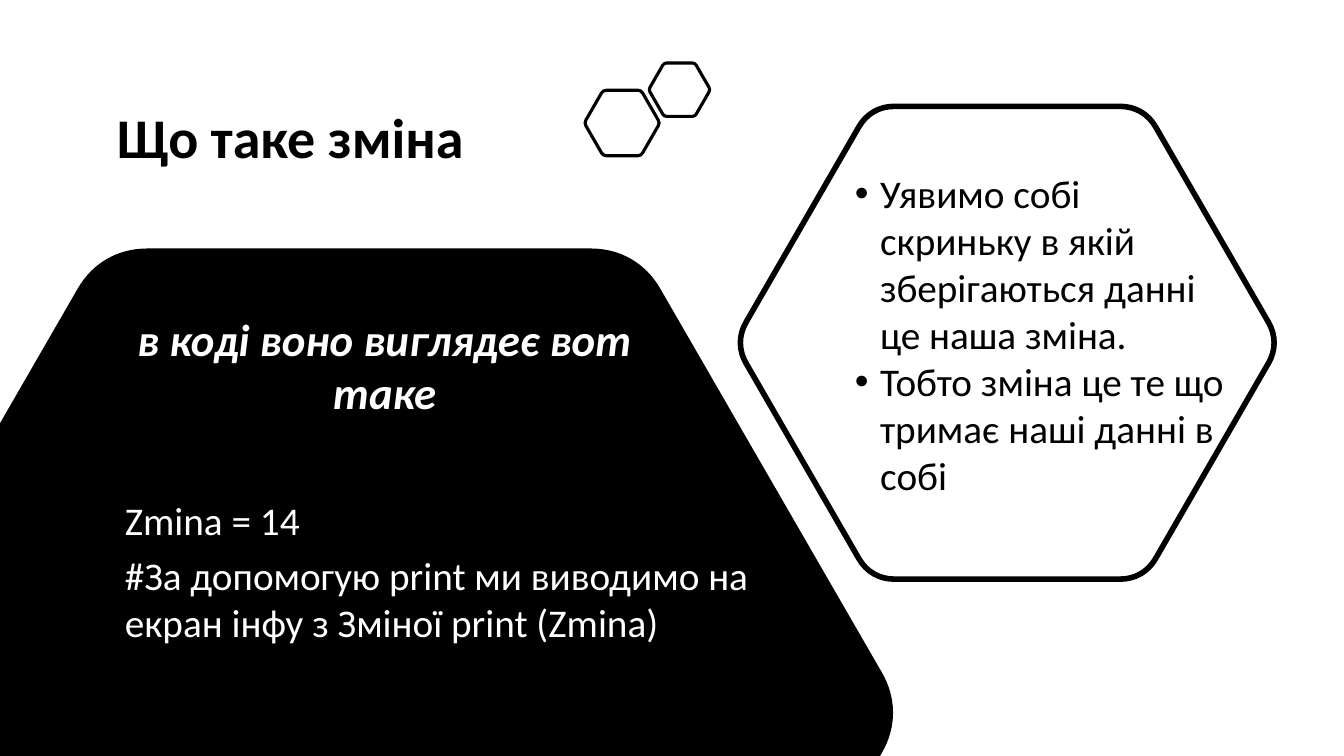
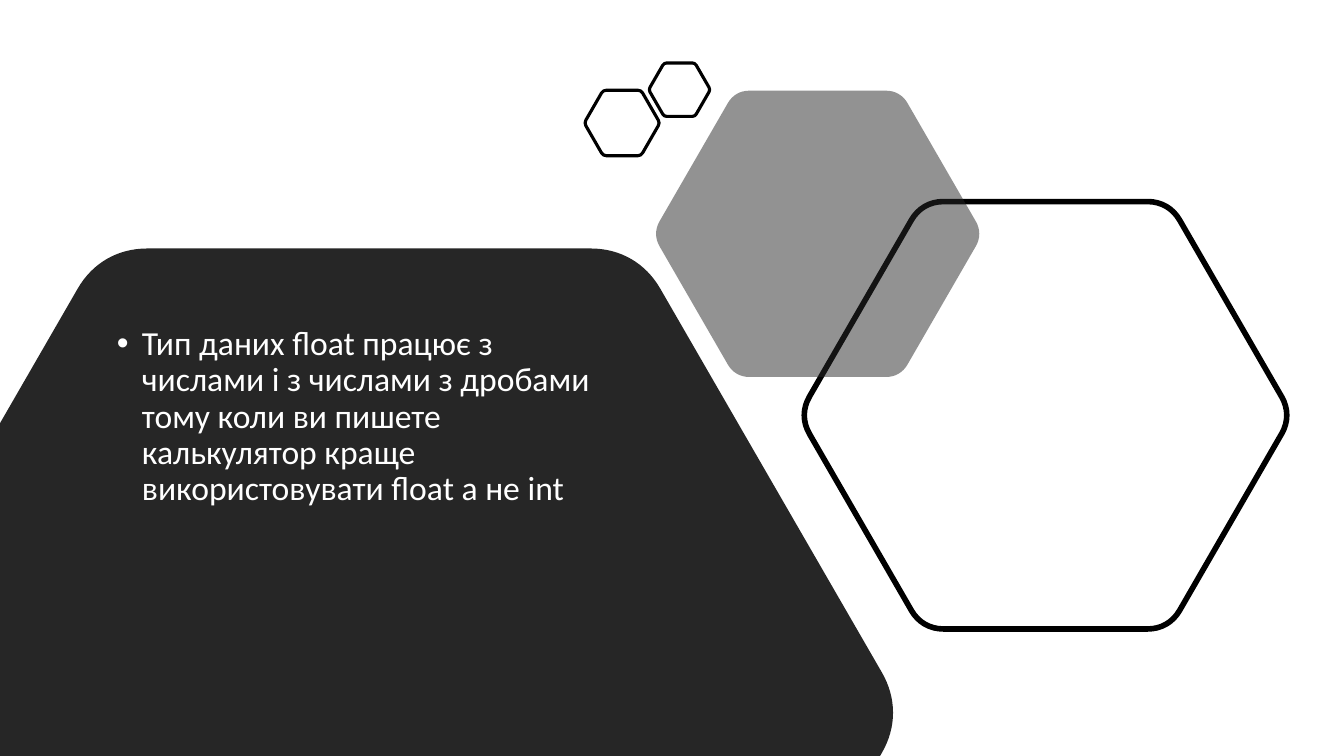
from math import cos, pi, sin, sqrt

from lxml import etree
from pptx import Presentation
from pptx.dml.color import RGBColor
from pptx.enum.text import MSO_ANCHOR, PP_ALIGN
from pptx.oxml.ns import qn
from pptx.util import Inches, Pt

BLACK = RGBColor(0x00, 0x00, 0x00)
CHARCOAL = RGBColor(0x26, 0x26, 0x26)
WHITE = RGBColor(0xFF, 0xFF, 0xFF)
FONT = "Calibri"
MIDDLE, TOP = MSO_ANCHOR.MIDDLE, MSO_ANCHOR.TOP
LEFT, CENTER = PP_ALIGN.LEFT, PP_ALIGN.CENTER

SLIDE_WIDTH, SLIDE_HEIGHT = 13.33, 7.5
CORNER_SHARE = 0.05
HANDLE_SHARE = 0.64

PANEL = (3.66, 7.07, 9.21)
SMALL_PAIR = [(6.17, 1.22, 0.65), (6.74, 0.89, 0.53)]

SLIDES = [
    {
        "hexagons": [
            {"pair": True},
            {"place": (9.99, 3.4, 4.69), "line": 4},
            {"place": PANEL, "fill": BLACK},
        ],
        "texts": [
            (["Що таке зміна"], (1.06, 0.49, 4.68, 1.8),
             {"size": 40, "bold": True, "anchor": MIDDLE, "spacing": 0.9}),
            (["Zmina = 14", "#За допомогую print ми виводимо на екран інфу з Зміної print (Zmina)"],
             (1.14, 4.87, 6.66, 1.6), {"color": WHITE, "after": 6}),
            (["в коді воно виглядеє вот таке"], (0.89, 3.04, 5.85, 1.18),
             {"size": 32, "color": WHITE, "bold": True, "italic": True, "align": CENTER, "after": 6}),
            (["Уявимо собі скриньку в якій зберігаються данні це наша зміна.",
              "Тобто зміна це те що тримає наші данні в собі"],
             (8.38, 1.63, 3.98, 4.76), {"bullet": "•"}),
        ],
    },
    {
        "hexagons": [
            {"place": PANEL, "fill": CHARCOAL},
            {"place": (10.37, 4.12, 4.24), "line": 4},
            {"place": (8.11, 2.32, 2.84), "fill": CHARCOAL, "opacity": 50},
            {"pair": True},
        ],
        "texts": [
            (["Тип даних float працює з числами і з числами з дробами тому коли ви пишете "
              "калькулятор краще використовувати float а не int"],
             (1.06, 3.19, 5.19, 3.38),
             {"size": 24, "color": WHITE, "bullet": "•", "spacing": 0.9}),
        ],
    },
]


def toward(start, end, share):
    return tuple(a + (b - a) * share for a, b in zip(start, end))


def corner_curves(center_x, center_y, height):
    side = height / sqrt(3)
    corners = [(center_x + side * cos(i * pi / 3), center_y + side * sin(i * pi / 3)) for i in range(6)]
    cut = CORNER_SHARE * height / side
    curves = []
    for i, corner in enumerate(corners):
        begin = toward(corner, corners[i - 1], cut)
        finish = toward(corner, corners[(i + 1) % 6], cut)
        curves.append((begin, toward(begin, corner, HANDLE_SHARE),
                       toward(finish, corner, HANDLE_SHARE), finish))
    return curves


def clip(points, axis, limit, sign):
    kept = []
    for i, point in enumerate(points):
        previous = points[i - 1]
        inside = sign * (point[axis] - limit) >= 0
        if inside != (sign * (previous[axis] - limit) >= 0):
            share = (limit - previous[axis]) / (point[axis] - previous[axis])
            kept.append(toward(previous, point, share))
        if inside:
            kept.append(point)
    return kept


def round_corners(hexagon, starts):
    outline = next(hexagon._element.iter(qn("a:path")))
    steps = list(outline)
    for start in starts:
        lines = steps[start + 1:start + 4]
        curve = etree.Element(qn("a:cubicBezTo"))
        lines[0].addprevious(curve)
        for line in lines:
            curve.append(line[0])
            outline.remove(line)


def add_hexagon(shapes, place, fill=None, line=None, opacity=None):
    curves = corner_curves(*place)
    points = [point for curve in curves for point in curve]
    points = clip(clip(points, 0, 0, 1), 1, SLIDE_HEIGHT, -1)
    starts = [points.index(curve[0]) for curve in curves if all(point in points for point in curve)]
    corners = [(Inches(x), Inches(y)) for x, y in points]
    builder = shapes.build_freeform(*corners[0])
    builder.add_line_segments(corners[1:], close=True)
    hexagon = builder.convert_to_shape()
    round_corners(hexagon, starts)
    hexagon.shadow.inherit = False
    if fill is None:
        hexagon.fill.background()
    else:
        hexagon.fill.solid()
        hexagon.fill.fore_color.rgb = fill
    if line is None:
        hexagon.line.fill.background()
    else:
        hexagon.line.color.rgb = BLACK
        hexagon.line.width = Pt(line)
    if opacity is not None:
        color = hexagon.fill._xPr.find(qn("a:solidFill"))[0]
        etree.SubElement(color, qn("a:alpha"), val=str(opacity * 1000))


def add_small_pair(shapes):
    group = shapes.add_group_shape()
    for place in SMALL_PAIR:
        add_hexagon(group.shapes, place, line=2.25)


def add_text(page, lines, place, size=28, color=BLACK, bold=False, italic=False,
             align=LEFT, anchor=TOP, spacing=1.0, after=0, bullet=None):
    box = page.shapes.add_textbox(*map(Inches, place))
    frame = box.text_frame
    frame.word_wrap = True
    frame.vertical_anchor = anchor
    for i, line in enumerate(lines):
        para = frame.add_paragraph() if i else frame.paragraphs[0]
        para.alignment = align
        para.line_spacing = spacing
        para.space_after = Pt(after)
        if bullet:
            properties = para._p.get_or_add_pPr()
            properties.set("marL", str(Inches(0.25)))
            properties.set("indent", str(Inches(-0.25)))
            etree.SubElement(properties, qn("a:buFont"), typeface="Arial")
            etree.SubElement(properties, qn("a:buChar"), char=bullet)
        span = para.add_run()
        span.text = line
        span.font.name = FONT
        span.font.size = Pt(size)
        span.font.bold = bold
        span.font.italic = italic
        span.font.color.rgb = color


def main():
    deck = Presentation()
    deck.slide_width, deck.slide_height = Inches(SLIDE_WIDTH), Inches(SLIDE_HEIGHT)
    for content in SLIDES:
        page = deck.slides.add_slide(deck.slide_layouts[6])
        for hexagon in content["hexagons"]:
            if "pair" in hexagon:
                add_small_pair(page.shapes)
            else:
                add_hexagon(page.shapes, **hexagon)
        for lines, place, style in content["texts"]:
            add_text(page, lines, place, **style)
    deck.save("out.pptx")


if __name__ == "__main__":
    main()
